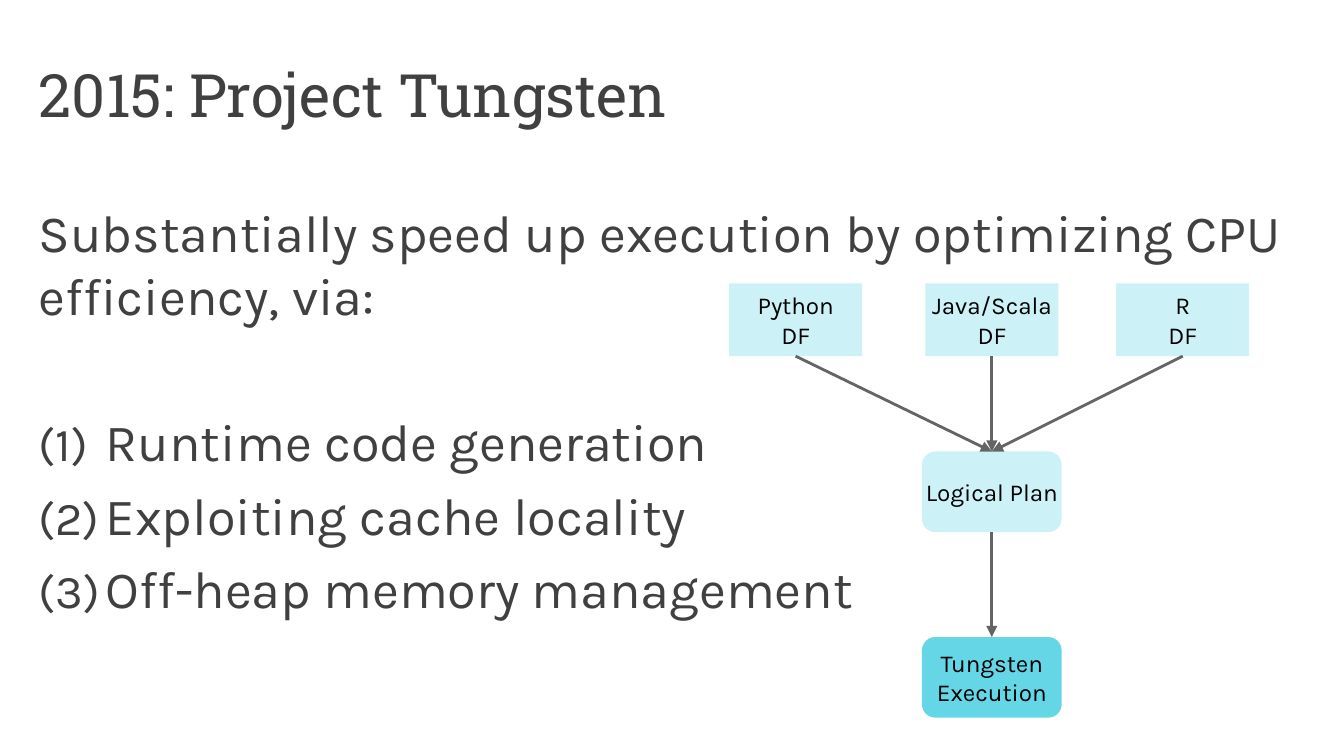
"""Build the Project Tungsten slide: a heading, three techniques and a plan flow."""
from lxml.etree import SubElement
from pptx import Presentation
from pptx.dml.color import RGBColor
from pptx.enum.shapes import MSO_CONNECTOR, MSO_SHAPE
from pptx.enum.text import MSO_ANCHOR, MSO_AUTO_SIZE, PP_ALIGN
from pptx.oxml.ns import qn
from pptx.util import Inches, Pt


def colour(value):
    return RGBColor.from_string(value)


def add_text(paragraph, text, size, font, tint):
    run = paragraph.add_run()
    run.text = text
    run.font.size = Pt(size)
    run.font.name = font
    run.font.color.rgb = colour(tint)


deck = Presentation()
deck.slide_width = Inches(10)
deck.slide_height = deck.slide_width * 9 // 16
slide = deck.slides.add_slide(deck.slide_layouts[5])
margin, content_width = Inches(0.19), Inches(9.68)

title = slide.shapes.title
title.left, title.top, title.width, title.height = margin, Inches(0.23), content_width, Inches(0.94)
title.text_frame.vertical_anchor = MSO_ANCHOR.MIDDLE
title.text_frame.auto_size = MSO_AUTO_SIZE.NONE
heading = title.text_frame.paragraphs[0]
heading.alignment = PP_ALIGN.LEFT
add_text(heading, "2015: Project Tungsten", 32, "Roboto Slab", "404040")

body = slide.shapes.add_textbox(margin, Inches(1.44), content_width, Inches(3.71)).text_frame
body.word_wrap = True
body.margin_top = Inches(0.05)
add_text(body.paragraphs[0], "Substantially speed up execution by optimizing CPU efficiency, via:",
         28, "Karla", "404040")
techniques = ["Runtime code generation", "Exploiting cache locality", "Off-heap memory management"]
for number, technique in enumerate(techniques):
    item = body.add_paragraph()
    properties = item._p.get_or_add_pPr()
    properties.set("marL", str(Inches(0.5)))
    properties.set("indent", str(-Inches(0.5)))
    SubElement(properties, qn("a:buSzPct"), val="90000")
    SubElement(properties, qn("a:buFont"), typeface="Karla")
    SubElement(properties, qn("a:buAutoNum"), type="arabicParenBoth")
    item.space_before = Pt(5.6 if number else 45)
    add_text(item, technique, 28, "Karla", "404040")

middle = 7.38
frame_size, plan_size = (0.99, 0.54), (1.04, 0.6)
stages = [
    (["Python", "DF"], 5.92, 2.11, frame_size, MSO_SHAPE.RECTANGLE, "CCF1F6"),
    (["Java/Scala", "DF"], middle, 2.11, frame_size, MSO_SHAPE.RECTANGLE, "CCF1F6"),
    (["R", "DF"], 8.8, 2.11, frame_size, MSO_SHAPE.RECTANGLE, "CCF1F6"),
    (["Logical Plan"], middle, 3.36, plan_size, MSO_SHAPE.ROUNDED_RECTANGLE, "CCF1F6"),
    (["Tungsten", "Execution"], middle, 4.74, plan_size, MSO_SHAPE.ROUNDED_RECTANGLE, "65D6E5"),
]
boxes = []
for lines, center, top, (width, height), outline, fill in stages:
    left = center - width / 2
    box = slide.shapes.add_shape(outline, Inches(left), Inches(top), Inches(width), Inches(height))
    box.shadow.inherit = False
    box.fill.solid()
    box.fill.fore_color.rgb = colour(fill)
    box.line.fill.background()
    label = box.text_frame
    label.word_wrap = True
    label.vertical_anchor = MSO_ANCHOR.MIDDLE
    label.margin_left = label.margin_right = label.margin_top = label.margin_bottom = 0
    for index, line in enumerate(lines):
        row = label.add_paragraph() if index else label.paragraphs[0]
        row.alignment = PP_ALIGN.CENTER
        add_text(row, line, 13, "Karla", "000000")
    boxes.append(box)

python, java, r, plan, execution = boxes
for source, target in [(python, plan), (java, plan), (r, plan), (plan, execution)]:
    arrow = slide.shapes.add_connector(MSO_CONNECTOR.STRAIGHT, 0, 0, 0, 0)
    arrow.begin_connect(source, 2)
    arrow.end_connect(target, 0)
    arrow.line.color.rgb = colour("646464")
    arrow.line.width = Pt(1.5)
    SubElement(arrow.line._get_or_add_ln(), qn("a:tailEnd"), type="triangle")
    SubElement(arrow._element.spPr, qn("a:effectLst"))

deck.save("out.pptx")
